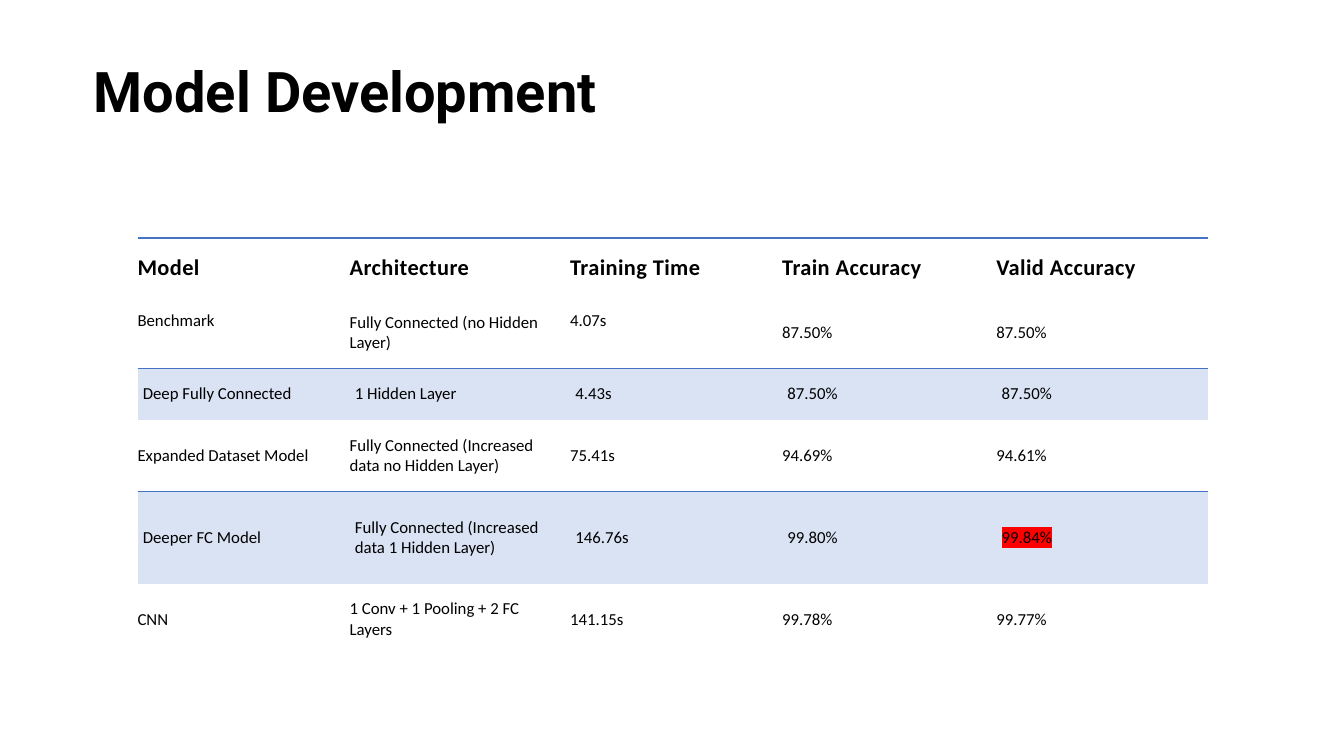
from lxml.etree import SubElement
from pptx import Presentation
from pptx.dml.color import RGBColor
from pptx.enum.shapes import MSO_SHAPE
from pptx.enum.text import MSO_ANCHOR
from pptx.oxml.ns import qn
from pptx.util import Pt

TITLE = "Model Development"
ROWS = [
    ("Model", "Architecture", "Training Time", "Train Accuracy", "Valid Accuracy"),
    ("Benchmark", "Fully Connected (no Hidden Layer)", "4.07s", "87.50%", "87.50%"),
    ("Deep Fully Connected", "1 Hidden Layer", "4.43s", "87.50%", "87.50%"),
    ("Expanded Dataset Model", "Fully Connected (Increased data no Hidden Layer)",
     "75.41s", "94.69%", "94.61%"),
    ("Deeper FC Model", "Fully Connected (Increased data 1 Hidden Layer)",
     "146.76s", "99.80%", "99.84%"),
    ("CNN", "1 Conv + 1 Pooling + 2 FC Layers", "141.15s", "99.78%", "99.77%"),
]
BEST = "99.84%"
TOP_CELLS = [(1, 0), (1, 2)]
COL_WIDTHS = [202, 210, 202, 204, 202]
ROW_HEIGHTS = [56, 68, 49, 68, 88, 68]
BLUE, BAND, RED, BLACK, WHITE = "4472C4", "DAE3F3", "FF0000", "000000", "FFFFFF"


def px(n):
    return n * 9525


def color(value):
    return RGBColor.from_string(value)


def write(tf, text, size, font="Calibri", bold=False, spacing=0, highlight=None,
          line_spacing=None):
    tf.word_wrap = True
    p = tf.paragraphs[0]
    if line_spacing:
        p.line_spacing = line_spacing
    r = p.add_run()
    r.text = text
    r.font.size, r.font.name, r.font.bold = Pt(size), font, bold
    r.font.color.rgb = color(BLACK)
    rPr = r.font._element
    if spacing:
        rPr.set("spc", str(spacing))
    if highlight:
        mark = SubElement(rPr, qn("a:highlight"))
        SubElement(mark, qn("a:srgbClr"), val=highlight)
        rPr.find(qn("a:solidFill")).addnext(mark)


def set_borders(cell, widths):
    tcPr = cell._tc.get_or_add_tcPr()
    for i, side in enumerate("LRTB"):
        ln = SubElement(tcPr, qn("a:ln" + side))
        if side in widths:
            ln.set("w", str(Pt(widths[side])))
            fill = SubElement(ln, qn("a:solidFill"))
            SubElement(fill, qn("a:srgbClr"), val=BLUE)
        else:
            ln.set("w", "0")
            SubElement(ln, qn("a:noFill"))
        tcPr.insert(i, ln)


def row_borders(row):
    if row == 0:
        return {"T": 1.5}
    if row in (1, 3):
        return {"B": 0.75}
    if row in (2, 4):
        return {"T": 0.75}
    return {}


def main():
    prs = Presentation()
    prs.slide_width, prs.slide_height = px(1280), px(720)
    s = prs.slides.add_slide(prs.slide_layouts[6])

    header = s.shapes.add_shape(MSO_SHAPE.RECTANGLE, 0, 0, px(1280), px(179))
    header.shadow.inherit = False
    header.fill.solid()
    header.fill.fore_color.rgb = color(WHITE)
    header.line.fill.background()

    title = s.shapes.add_textbox(px(80), px(29), px(1100), px(122))
    title.text_frame.vertical_anchor = MSO_ANCHOR.MIDDLE
    write(title.text_frame, TITLE, 40, font="Roboto", bold=True, line_spacing=0.9)

    table = s.shapes.add_table(len(ROWS), len(COL_WIDTHS), px(131), px(227),
                               px(sum(COL_WIDTHS)), px(sum(ROW_HEIGHTS))).table
    table.first_row = table.horz_banding = False
    for column, width in zip(table.columns, COL_WIDTHS):
        column.width = px(width)
    for row, height in zip(table.rows, ROW_HEIGHTS):
        row.height = px(height)

    for i, texts in enumerate(ROWS):
        is_header, banded = i == 0, i in (2, 4)
        for j, text in enumerate(texts):
            cell = table.cell(i, j)
            cell.margin_left = px(5 if banded else 0)
            cell.margin_right = px(1 if is_header else 13)
            cell.margin_top = cell.margin_bottom = px(13)
            cell.vertical_anchor = MSO_ANCHOR.TOP if (i, j) in TOP_CELLS else MSO_ANCHOR.MIDDLE
            if banded:
                cell.fill.solid()
                cell.fill.fore_color.rgb = color(BAND)
            else:
                cell.fill.background()
            set_borders(cell, row_borders(i))
            write(cell.text_frame, text, 16 if is_header else 12, bold=is_header,
                  spacing=30 if is_header else 0,
                  highlight=RED if text == BEST else None)

    prs.save("out.pptx")


if __name__ == "__main__":
    main()
